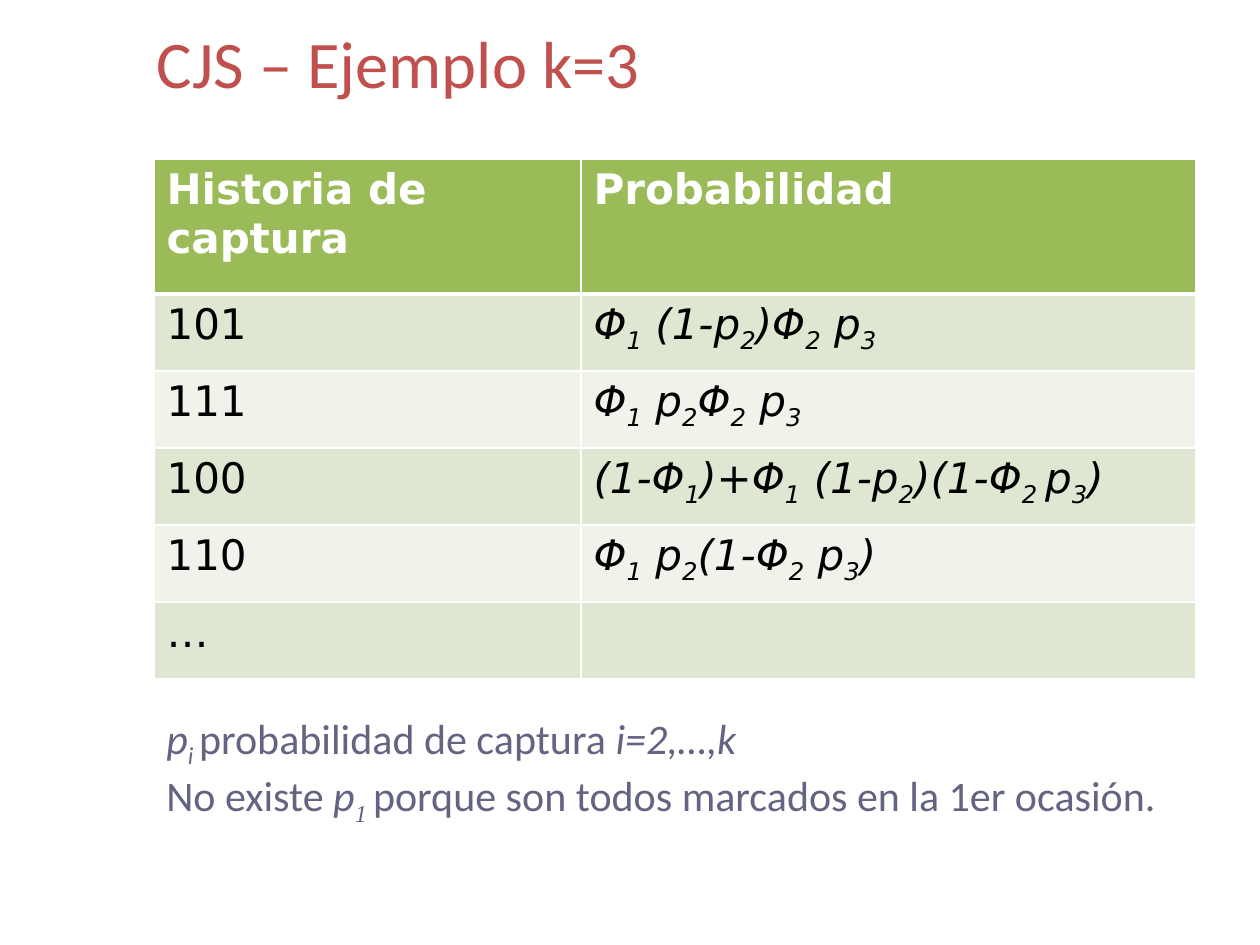
import pptx
import pptx.dml.color
import pptx.enum.text
import pptx.oxml
import pptx.oxml.ns
import pptx.util

PX = 914400 / 126


def color(hex_value):
    return pptx.dml.color.RGBColor.from_string(hex_value)


def write(paragraph, marked, base):
    """Add runs; text between bars is subscript, text between asterisks is italic."""
    for i, styled in enumerate(marked.split("*")):
        for j, text in enumerate(styled.split("|")):
            if not text:
                continue
            run = paragraph.add_run()
            run.text = text
            look = {"bold": False, "italic": i % 2 == 1, **base}
            hue = look.pop("hue")
            for name, value in look.items():
                setattr(run.font, name, value)
            run.font.color.rgb = color(hue)
            if j % 2:
                run.font._element.set("baseline", "-25000")


deck = pptx.Presentation()
deck.slide_width, deck.slide_height = pptx.util.Inches(10), pptx.util.Inches(7.5)
slide = deck.slides.add_slide(deck.slide_layouts[5])

# Title
title = slide.shapes.title
for side, px in {"left": 144, "top": 15, "width": 1062, "height": 93}.items():
    setattr(title, side, round(px * PX))
title.text_frame.vertical_anchor = pptx.enum.text.MSO_ANCHOR.MIDDLE
heading = title.text_frame.paragraphs[0]
heading.alignment = pptx.enum.text.PP_ALIGN.LEFT
write(heading, "CJS – Ejemplo k=3",
      {"name": "Calibri", "size": pptx.util.Pt(38), "hue": "C0504D"})

# Capture histories and their probabilities
histories = [
    ("Historia de captura", "Probabilidad"),
    ("101", "*Φ|1| (1-p|2|)Φ|2| p|3|*"),
    ("111", "*Φ|1| p|2|Φ|2| p|3|*"),
    ("100", "*(1-Φ|1|)+Φ|1| (1-p|2|)(1-Φ|2 |p|3|)*"),
    ("110", "*Φ|1| p|2|(1-Φ|2| p|3|)*"),
    ("…", ""),
]
column_widths = [427, 615]
row_heights = [135] + [77] * (len(histories) - 1)
table = slide.shapes.add_table(
    len(histories), len(column_widths), round(154 * PX), round(159 * PX),
    round(sum(column_widths) * PX), round(sum(row_heights) * PX)).table
for column, width in zip(table.columns, column_widths):
    column.width = round(width * PX)

for r, (history, height) in enumerate(zip(histories, row_heights)):
    table.rows[r].height = round(height * PX)
    header = r == 0
    fill = "9BBB59" if header else ("DEE7D1" if r % 2 else "EFF3EA")
    for c, marked in enumerate(history):
        cell = table.cell(r, c)
        cell.fill.solid()
        cell.fill.fore_color.rgb = color(fill)
        write(cell.text_frame.paragraphs[0], marked,
              {"name": "DejaVu Sans", "size": pptx.util.Pt(24), "bold": header,
               "hue": "FFFFFF" if header else "000000"})
        # White rules, thicker around the header's lower edge
        points = {"L": 1, "R": 1, "T": 3 if r == 1 else 1, "B": 3 if header else 1}
        for k, (edge, weight) in enumerate(points.items()):
            rule = pptx.oxml.parse_xml(
                f'<a:ln{edge} {pptx.oxml.ns.nsdecls("a")} w="{weight * 12700}">'
                '<a:solidFill><a:srgbClr val="FFFFFF"/></a:solidFill>'
                f'</a:ln{edge}>')
            cell._tc.get_or_add_tcPr().insert(k, rule)

# Note on the capture probabilities
note = slide.shapes.add_textbox(
    *[round(px * PX) for px in (154, 706, 1062, 115)]).text_frame
note.word_wrap = True
note_look = {"name": "Calibri", "size": pptx.util.Pt(24), "hue": "636382"}
write(note.paragraphs[0], "*p|i |*probabilidad de captura *i=2,…,k*", note_look)
absent = note.add_paragraph()
write(absent, "No existe *p|1 |*porque son todos marcados en la 1er ocasión.", note_look)
absent.runs[2].font.name = "Times New Roman"

deck.save("out.pptx")
